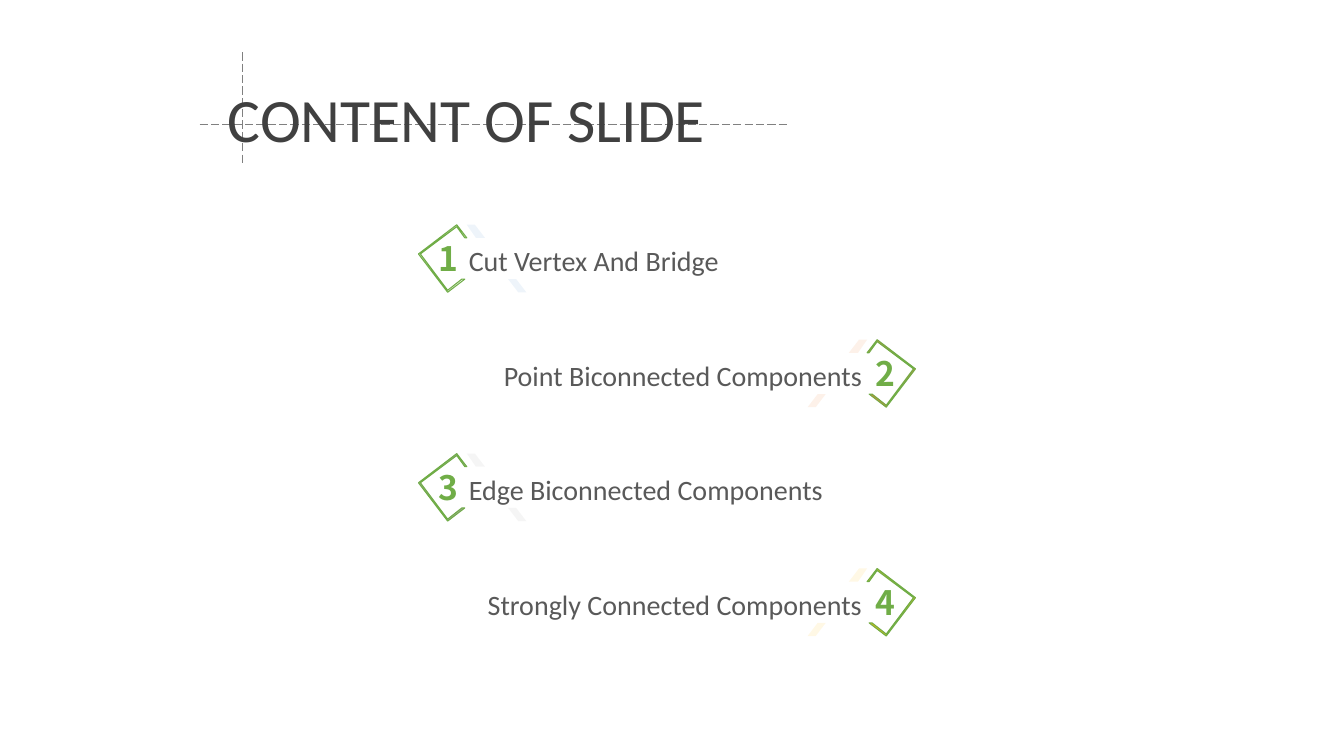
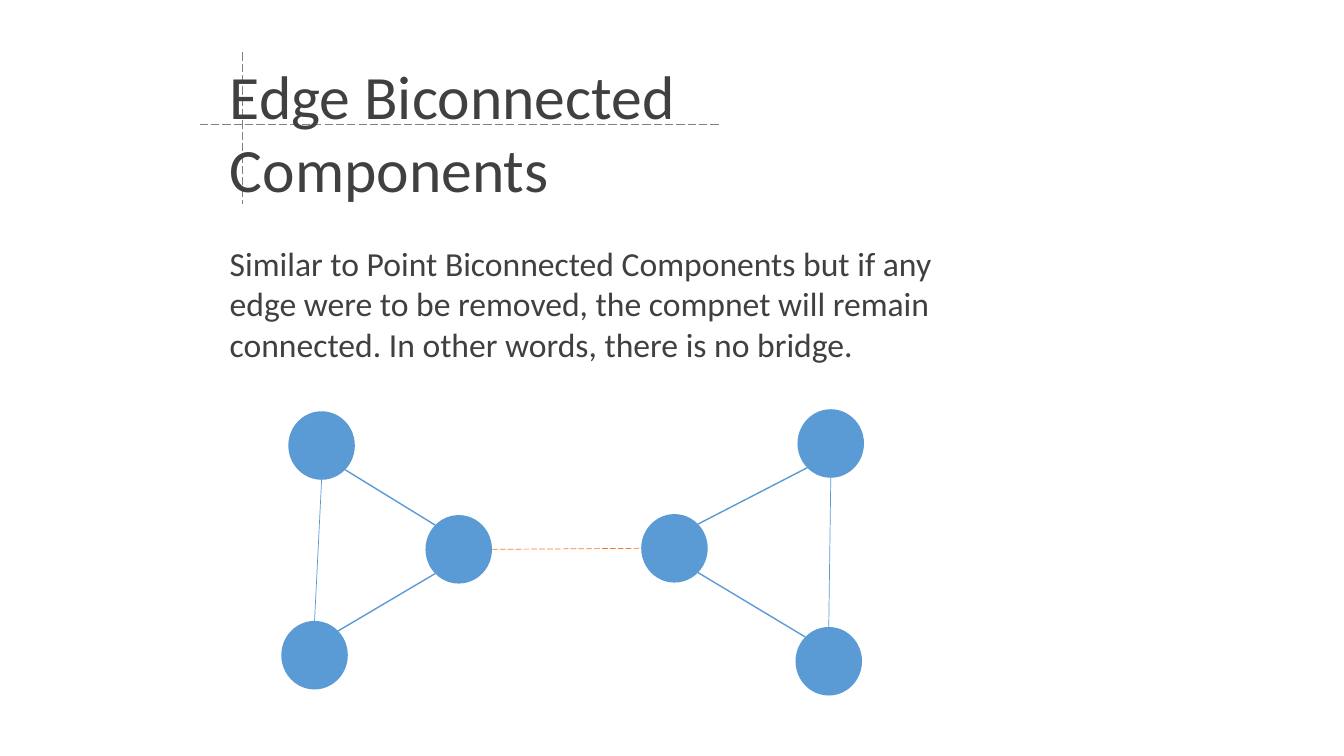
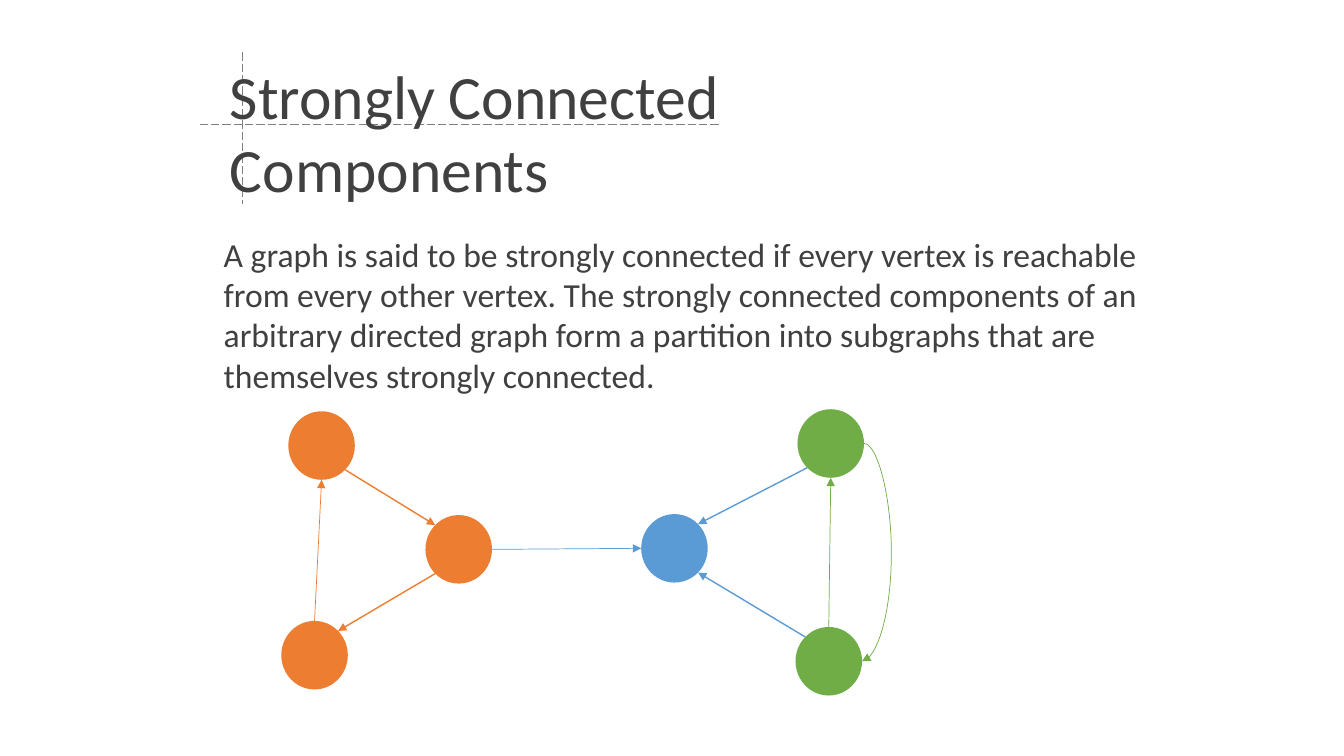
from math import cos, radians, sin

from lxml import etree
from pptx import Presentation
from pptx.dml.color import RGBColor
from pptx.enum.dml import MSO_LINE_DASH_STYLE as Dash
from pptx.enum.shapes import MSO_CONNECTOR as Connector, MSO_SHAPE as Preset
from pptx.enum.text import MSO_ANCHOR as Anchor, MSO_AUTO_SIZE as AutoSize, PP_ALIGN as Align
from pptx.oxml.ns import qn
from pptx.util import Inches, Pt

GREY = RGBColor(0x80, 0x80, 0x80)
DARK = RGBColor(0x40, 0x40, 0x40)
MEDIUM = RGBColor(0x59, 0x59, 0x59)
BLUE = RGBColor(0x5B, 0x9B, 0xD5)
ORANGE = RGBColor(0xED, 0x7D, 0x31)
SILVER = RGBColor(0xA5, 0xA5, 0xA5)
GOLD = RGBColor(0xFF, 0xC0, 0x00)
GREEN = RGBColor(0x70, 0xAD, 0x47)
TEXT_FONT = "Calibri"
NUMBER_FONT = "Noto Sans CJK JP"

deck = Presentation()
deck.slide_width, deck.slide_height = Inches(13.33), Inches(7.5)


def add_link(page, start, end, color, width, dash=None, arrow=False, kind=Connector.STRAIGHT):
    """Draw a shadowless connector between two points given in inches."""
    link = page.shapes.add_connector(kind, *[Inches(value) for value in (*start, *end)])
    link.line.color.rgb = color
    link.line.width = Pt(width)
    if dash:
        link.line.dash_style = dash
    properties = link._element.spPr
    if arrow:
        etree.SubElement(properties.find(qn("a:ln")), qn("a:tailEnd"), type="triangle")
    etree.SubElement(properties, qn("a:effectLst"))
    return link


def start_page(text, frame, anchor, spacing, guide_right, guide_bottom):
    """Add a title-only page with dashed guides behind its title."""
    page = deck.slides.add_slide(deck.slide_layouts[5])
    add_link(page, (1.98, 1.24), (guide_right, 1.24), GREY, 0.75, Dash.LONG_DASH)
    add_link(page, (2.41, 0.52), (2.41, guide_bottom), GREY, 0.75, Dash.LONG_DASH)
    title = page.shapes.title
    title.left, title.top, title.width, title.height = [Inches(value) for value in frame]
    title.text_frame.text = text
    title.text_frame.auto_size = AutoSize.NONE
    title.text_frame.vertical_anchor = anchor
    para = title.text_frame.paragraphs[0]
    para.alignment, para.line_spacing = Align.LEFT, spacing
    para.font.name, para.font.size, para.font.color.rgb = TEXT_FONT, Pt(44), DARK
    page.shapes._spTree.append(title._element)
    return page


# Contents page: outlines in hundredths of an inch, y counted from the row top
HUNDREDTH = Inches(0.01)
MIRROR = 1323
ROW_TOP, ROW_STEP = 223, 341 / 3
BADGE = [[(453, 0), (463, 13), (461, 13), (453, 2), (417, 29),
          (444, 65), (458, 54), (461, 54), (444, 67), (415, 29)]]
TICKS = [[(504, 54), (512, 54), (522, 67), (514, 67)],
         [(463, 0), (471, 0), (481, 13), (472, 13)]]
topics = [("Cut Vertex And Bridge", BLUE), ("Point Biconnected Components", ORANGE),
          ("Edge Biconnected Components", SILVER), ("Strongly Connected Components", GOLD)]

page = start_page("CONTENT OF SLIDE", (2.16, 0.61, 8.62, 1.21), Anchor.MIDDLE, 0.9, 7.81, 1.63)
for row, (topic, color) in enumerate(topics):
    on_right = row % 2 == 1
    top = ROW_TOP + ROW_STEP * row
    alignment = Align.RIGHT if on_right else Align.LEFT

    # Badge and pale ticks, mirrored on every second row
    outlines = []
    for contours in (BADGE, TICKS):
        placed = [[(MIRROR - x if on_right else x, top + y) for x, y in contour]
                  for contour in contours]
        builder = page.shapes.build_freeform(*placed[0][0], scale=HUNDREDTH)
        builder.add_line_segments(placed[0][1:])
        for contour in placed[1:]:
            builder.move_to(*contour[0])
            builder.add_line_segments(contour[1:])
        outline = builder.convert_to_shape()
        outline.shadow.inherit = False
        outline.fill.solid()
        outline.fill.fore_color.rgb = color
        outlines.append(outline)
    badge, ticks = outlines
    if row == 0:
        badge.fill.background()
    badge.line.color.rgb = GREEN
    badge.line.width = Pt(0.75)
    ticks.line.fill.background()
    tint = ticks._element.spPr.find(qn("a:solidFill"))[0]
    etree.SubElement(tint, qn("a:alpha"), val="10000")

    # Number in the badge, topic beside it
    box = page.shapes.add_textbox(Inches(4.02 if on_right else 4.65),
                                  HUNDREDTH * round(top + 12), Inches(4.53), Inches(0.47))
    for shape, text, font, size, ink, inset in (
            (badge, str(row + 1), NUMBER_FONT, 24, GREEN, 0.2),
            (box, topic, TEXT_FONT, 20, MEDIUM, 0)):
        frame = shape.text_frame
        frame.word_wrap = True
        frame.vertical_anchor = Anchor.MIDDLE
        frame.margin_top = frame.margin_bottom = 0
        frame.margin_left = Inches(0 if on_right else inset)
        frame.margin_right = Inches(inset if on_right else 0)
        para = frame.paragraphs[0]
        para.text, para.alignment = text, alignment
        para.font.name, para.font.size, para.font.color.rgb = font, Pt(size), ink
        para.font.bold = shape is badge

# Graph shared by both component pages: vertex centres and directed edges
# An edge leaves and enters at an angle, clockwise from the right
RADIUS_X, RADIUS_Y = 0.33, 0.34
VERTICES = {"A": (3.19, 4.42), "B": (3.12, 6.50), "C": (4.55, 5.45),
            "D": (6.69, 5.44), "E": (8.24, 4.40), "F": (8.22, 6.56)}
EDGES = [("A", 45, "C", 225, 1), ("C", 135, "B", 315, 1), ("E", 135, "D", 315, 1),
         ("F", 225, "D", 45, 1), ("B", 270, "A", 90, 0.5), ("F", 270, "E", 90, 0.5),
         ("C", 0, "D", 180, 0.5)]
RIM = {(name, angle): (x + RADIUS_X * cos(radians(angle)), y + RADIUS_Y * sin(radians(angle)))
       for name, (x, y) in VERTICES.items() for angle in range(0, 360, 45)}
BRIDGE = ("C", "D")

component_pages = [
    ("Edge Biconnected Components", (2.18, 2.36),
     ["Similar to Point Biconnected Components but if any",
      "edge were to be removed, the compnet will remain",
      "connected. In other words, there is no bridge."],
     dict.fromkeys("ABCDEF", BLUE), ORANGE, False),
    ("Strongly Connected Components", (2.12, 2.27),
     ["A graph is said to be strongly connected if every vertex is reachable from every "
      "other vertex. The strongly connected components of an arbitrary directed graph form "
      "a partition into subgraphs that are themselves strongly connected."],
     {"A": ORANGE, "B": ORANGE, "C": ORANGE, "D": BLUE, "E": GREEN, "F": GREEN}, BLUE, True),
]

for title, (left, top), lines, colors, bridge_color, directed in component_pages:
    page = start_page(title, (2.18, 0.52, 7.05, 1.57), Anchor.TOP, 1.0, 7.14, 2.02)

    # Definition
    box = page.shapes.add_textbox(Inches(left), Inches(top), Inches(9.28), Inches(1.7))
    box.text_frame.word_wrap = True
    box.text_frame.text = "\n".join(lines)
    for para in box.text_frame.paragraphs:
        para.font.name, para.font.size, para.font.color.rgb = TEXT_FONT, Pt(24), DARK

    # Vertices
    for name, (x, y) in VERTICES.items():
        vertex = page.shapes.add_shape(Preset.OVAL, Inches(x - RADIUS_X), Inches(y - RADIUS_Y),
                                       Inches(2 * RADIUS_X), Inches(2 * RADIUS_Y))
        vertex.shadow.inherit = False
        vertex.fill.solid()
        vertex.fill.fore_color.rgb = colors[name]
        vertex.line.fill.background()

    # Edges: those between components are blue, the bridge has its own colour
    for source, leave, target, enter, width in EDGES:
        is_bridge = (source, target) == BRIDGE
        color = colors[source] if colors[source] == colors[target] else BLUE
        add_link(page, RIM[source, leave], RIM[target, enter],
                 bridge_color if is_bridge else color, width,
                 Dash.LONG_DASH if is_bridge and not directed else None, directed)

    # Return edge bulging out to the right
    if directed:
        start, end = RIM["E", 0], RIM["F", 0]
        curve = add_link(page, start, end, GREEN, 0.5, arrow=True, kind=Connector.CURVE)
        bulge = round(-0.27 / (start[0] - end[0]) * 100000)
        guides = curve._element.spPr.find(qn("a:prstGeom")).find(qn("a:avLst"))
        etree.SubElement(guides, qn("a:gd"), name="adj1", fmla=f"val {bulge}")

deck.save("out.pptx")
